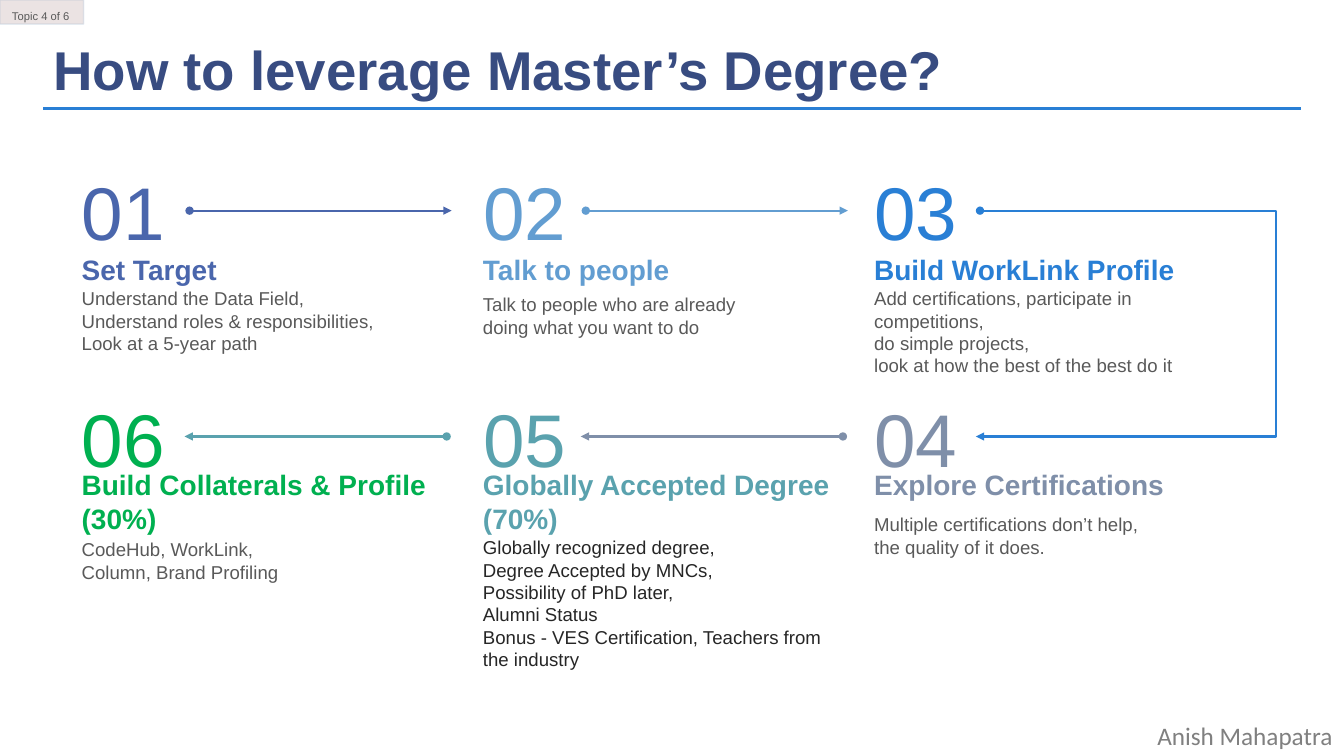
from pptx import Presentation, util as u
from pptx.dml.color import RGBColor
from pptx.enum import shapes, text
from pptx.oxml import ns, xmlchemy

# Content
TITLE = "How to leverage Master’s Degree?"
TOPIC = "Topic 4 of 6"
AUTHOR = "Anish Mahapatra"
COLOURS = {
    "01": "4A66AC", "02": "629DD1", "03": "297FD5",
    "04": "7F8FA9", "05": "5AA2AE", "06": "00B050",
    "title": "384C81", "rule": "297FD5", "body": "595959", "dark": "262626",
    "author": "808080", "chip": "7A4646", "chip edge": "1F5FA0",
}
# number, column, row, heading, body lines, body top, body width, body colour
STEPS = [
    ("01", 0, 0, "Set Target",
     ["Understand the Data Field,", "Understand roles & responsibilities,",
      "Look at a 5-year path"], 2.85, 3.39, "body"),
    ("02", 1, 0, "Talk to people",
     ["Talk to people who are already doing what you want to do"],
     2.91, 2.97, "body"),
    ("03", 2, 0, "Build WorkLink Profile",
     ["Add certifications, participate in competitions,",
      "do simple projects,", "look at how the best of the best do it"],
     2.85, 3.6, "body"),
    ("04", 2, 1, "Explore Certifications",
     ["Multiple certifications don’t help,", "the quality of it does."],
     5.09, 3.37, "body"),
    ("05", 1, 1, "Globally Accepted Degree\n(70%)",
     ["Globally recognized degree,", "Degree Accepted by MNCs,",
      "Possibility of PhD later,", "Alumni Status",
      "Bonus - VES Certification, Teachers from the industry"],
     5.32, 3.63, "dark"),
    ("06", 0, 1, "Build Collaterals & Profile\n(30%)",
     ["CodeHub, WorkLink,", "Column, Brand Profiling"], 5.34, 3.57, "body"),
]
ARROW_STARTS = {"01": 1.88, "02": 5.81, "03": 9.72, "04": 8.36, "05": 4.43}

# Grid, in inches
COLUMN_LEFT = (0.81, 4.79, 8.67)
NUMBER_TOP = (1.65, 3.9)
HEADING_TOP = (2.5, 4.63)
ARROW_Y = (2.09, 4.33)
ARROW_LENGTH = (2.6, -2.6)
HEADING_LINE = 0.34
BODY_LINE = 0.22
TURN_END, TURN_RIGHT = 9.68, 12.66

deck = Presentation()
deck.slide_width, deck.slide_height = u.Inches(13.33), u.Inches(7.5)
slide = deck.slides.add_slide(deck.slide_layouts[5])


def rgb(name):
    return RGBColor.from_string(COLOURS[name])


def write(content, box, size, colour, holder=None, font="Arial", bold=False,
          inset=None, wrap=True, anchor=text.MSO_ANCHOR.TOP,
          align=text.PP_ALIGN.LEFT, spacing=1.0):
    """Put text in a new text box, or in the given placeholder."""
    left, top, width, height = (u.Inches(v) for v in box)
    if holder is None:
        holder = slide.shapes.add_textbox(left, top, width, height)
    holder.left, holder.top, holder.width, holder.height = left, top, width, height
    frame = holder.text_frame
    frame.auto_size = text.MSO_AUTO_SIZE.NONE
    frame.word_wrap, frame.vertical_anchor = wrap, anchor
    if inset is not None:
        frame.margin_left = frame.margin_right = u.Inches(inset)
        frame.margin_top = frame.margin_bottom = u.Inches(inset)
    frame.text = content
    for line in frame.paragraphs:
        line.alignment, line.line_spacing = align, spacing
        for run in line.runs:
            run.font.name, run.font.size = font, u.Pt(size)
            run.font.bold, run.font.color.rgb = bold, rgb(colour)


def add_child(parent, tag, **attributes):
    child = xmlchemy.OxmlElement(tag)
    for key, value in attributes.items():
        child.set(key, value)
    parent.append(child)
    return child


def connect(start, end, colour, width=1.5, head=None, tail=None,
            kind=shapes.MSO_CONNECTOR.STRAIGHT):
    link = slide.shapes.add_connector(
        kind, *(u.Inches(v) for v in (*start, *end)))
    link.line.color.rgb, link.line.width = rgb(colour), u.Pt(width)
    properties = link._element.spPr
    outline = properties.find(ns.qn("a:ln"))
    for tag, tip in (("a:headEnd", head), ("a:tailEnd", tail)):
        if tip:
            add_child(outline, tag, type=tip)
    add_child(properties, "a:effectLst")
    return link


# Frame of the slide: rule, topic chip, author, title
connect((12.9, 1.08), (0.43, 1.08), "rule", width=2.25)
chip = slide.shapes.add_shape(shapes.MSO_SHAPE.RECTANGLE, 0, 0,
                              u.Inches(0.83), u.Inches(0.24))
chip.shadow.inherit = False
chip.fill.solid()
chip.fill.fore_color.rgb = rgb("chip")
chip.line.color.rgb, chip.line.width = rgb("chip edge"), u.Pt(1)
for tint, opacity in zip(chip._element.spPr.iter(ns.qn("a:srgbClr")), (15, 10)):
    add_child(tint, "a:alpha", val=str(opacity * 1000))
write(AUTHOR, (11.38, 7.1, 1.95, 0.4), 18, "author", font="Calibri", wrap=False)
write(TITLE, (0.43, 0.31, 10.32, 0.76), 39, "title",
      holder=slide.shapes.title, bold=True)
write(TOPIC, (0.02, -0.02, 0.81, 0.28), 8, "body", spacing=1.5)

# Six steps, running right along the first row and back along the second
for number, column, row, heading, body, body_top, body_width, body_colour in STEPS:
    left = COLUMN_LEFT[column]
    write(number, (left, NUMBER_TOP[row], 0.83, 0.9), 53.3, number,
          inset=0, wrap=False, align=text.PP_ALIGN.CENTER)
    heading_height = HEADING_LINE * len(heading.split("\n"))
    write(heading, (left, HEADING_TOP[row], 3.6, heading_height), 20, number,
          bold=True, inset=0, anchor=text.MSO_ANCHOR.MIDDLE)
    write("\n".join(body), (left, body_top, body_width, BODY_LINE * len(body)),
          13.3, body_colour, inset=0)
    if number in ARROW_STARTS:
        start = ARROW_STARTS[number]
        connect((start, ARROW_Y[row]), (start + ARROW_LENGTH[row], ARROW_Y[row]),
                number, head="oval", tail=None if number == "03" else "triangle")

# Turn from step 03 down to step 04
turn_start = ARROW_STARTS["03"] + ARROW_LENGTH[0]
turn = connect((turn_start, ARROW_Y[0]), (TURN_END, ARROW_Y[1]), "03",
               tail="triangle", kind=shapes.MSO_CONNECTOR.ELBOW)
bulge = (turn_start - TURN_RIGHT) / (turn_start - TURN_END)
guides = turn._element.spPr.find(ns.qn("a:prstGeom")).find(ns.qn("a:avLst"))
add_child(guides, "a:gd", name="adj1", fmla=f"val {round(bulge * 100000)}")

deck.save("out.pptx")
